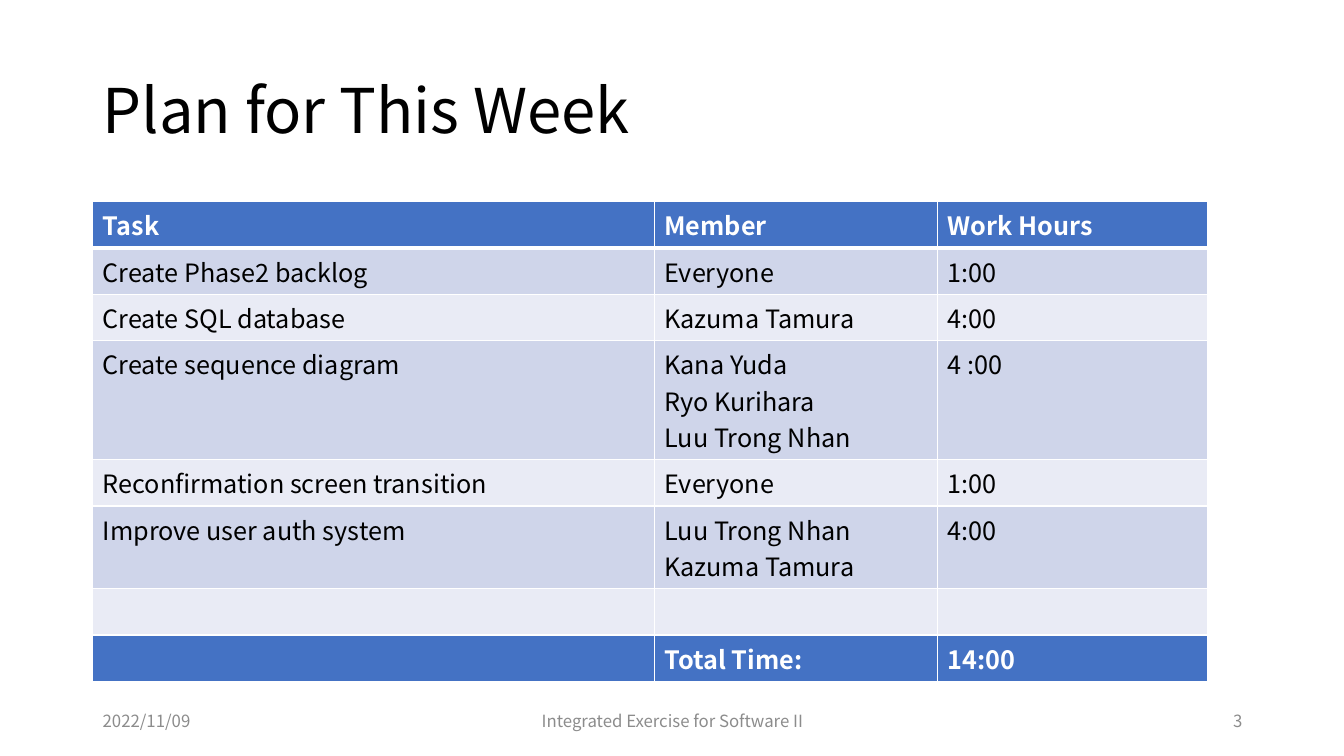
from lxml.etree import SubElement
from pptx import Presentation
from pptx.dml.color import RGBColor
from pptx.enum.text import MSO_ANCHOR as ANCHOR, PP_ALIGN as ALIGN
from pptx.oxml.ns import qn
from pptx.util import Inches, Pt

FONT = "Noto Sans CJK JP"
COLORS = {
    "black": "000000",
    "white": "FFFFFF",
    "gray": "8C8C8C",
    "blue": "4472C4",
    "band_dark": "CFD5EA",
    "band_light": "E9EBF5",
}


def add_run(p, text, size, color, bold=False):
    r = p.add_run()
    r.text = text
    r.font.name = FONT
    r.font.size = Pt(size)
    r.font.bold = bold
    r.font.color.rgb = RGBColor.from_string(COLORS[color])


def add_text(s, box, text, size, color, align=ALIGN.LEFT):
    sp = s.shapes.add_textbox(*[Inches(v) for v in box])
    tf = sp.text_frame
    tf.word_wrap = True
    tf.vertical_anchor = ANCHOR.MIDDLE
    p = tf.paragraphs[0]
    p.alignment = align
    add_run(p, text, size, color)
    return p


prs = Presentation()
prs.slide_width = Inches(13.33)
prs.slide_height = Inches(7.5)
s = prs.slides.add_slide(prs.slide_layouts[6])

title = add_text(s, (0.92, 0.4, 11.5, 1.45), "Plan for This Week", 44, "black")
title.line_spacing = 0.9

plan = [
    ("Task", ["Member"], "Work Hours"),
    ("Create Phase2 backlog", ["Everyone"], "1:00"),
    ("Create SQL database", ["Kazuma Tamura"], "4:00"),
    ("Create sequence diagram", ["Kana Yuda", "Ryo Kurihara", "Luu Trong Nhan"], "4 :00"),
    ("Reconfirmation screen transition", ["Everyone"], "1:00"),
    ("Improve user auth system", ["Luu Trong Nhan", "Kazuma Tamura"], "4:00"),
    ("", [""], ""),
    ("", ["Total Time:"], "14:00"),
]
col_widths = [5.57, 2.81, 2.68]
row_heights = [0.1 + 0.36 * len(members) for task, members, hours in plan]

table = s.shapes.add_table(
    len(plan), len(col_widths), Inches(0.92), Inches(2),
    Inches(sum(col_widths)), Inches(sum(row_heights)),
).table
for column, width in zip(table.columns, col_widths):
    column.width = Inches(width)

for i, (task, members, hours) in enumerate(plan):
    table.rows[i].height = Inches(row_heights[i])
    strong = i in (0, len(plan) - 1)
    fill = "blue" if strong else ("band_light", "band_dark")[i % 2]
    for j, lines in enumerate(([task], members, [hours])):
        cell = table.cell(i, j)
        tc_pr = cell._tc.get_or_add_tcPr()
        for side in ("L", "R", "T", "B"):
            thick = (i, side) in ((0, "B"), (1, "T"))
            ln = SubElement(tc_pr, qn(f"a:ln{side}"), w=str(Pt(3 if thick else 1)))
            solid = SubElement(ln, qn("a:solidFill"))
            SubElement(solid, qn("a:srgbClr"), val=COLORS["white"])
        cell.fill.solid()
        cell.fill.fore_color.rgb = RGBColor.from_string(COLORS[fill])
        tf = cell.text_frame
        for k, line in enumerate(lines):
            p = tf.add_paragraph() if k else tf.paragraphs[0]
            if line:
                add_run(p, line, 18, "white" if strong else "black", strong)
            else:
                end = SubElement(p._p, qn("a:endParaRPr"), sz="1800")
                SubElement(end, qn("a:latin"), typeface=FONT)

footers = [
    (0.92, 3, "2022/11/09", ALIGN.LEFT),
    (4.42, 4.5, "Integrated Exercise for Software II", ALIGN.CENTER),
    (9.42, 3, "3", ALIGN.RIGHT),
]
for left, width, text, align in footers:
    add_text(s, (left, 6.95, width, 0.4), text, 12, "gray", align)

prs.save("out.pptx")
